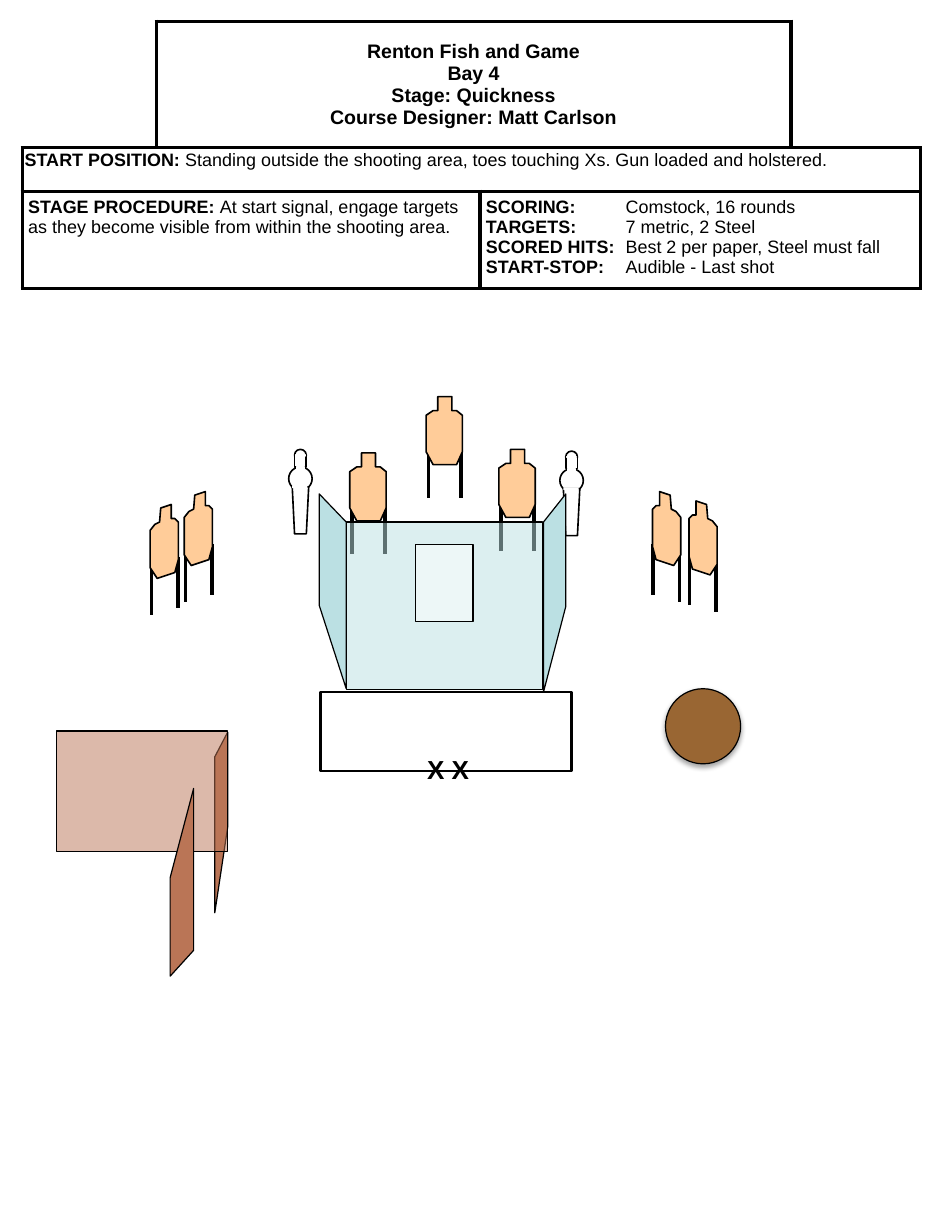
from dataclasses import dataclass
from typing import Any

from lxml import etree
from pptx import Presentation
from pptx.dml.color import RGBColor
from pptx.enum.shapes import MSO_CONNECTOR, MSO_SHAPE
from pptx.enum.text import MSO_ANCHOR, MSO_AUTO_SIZE, PP_ALIGN
from pptx.oxml.ns import qn
from pptx.util import Inches, Pt

BLACK = RGBColor(0x00, 0x00, 0x00)
WHITE = RGBColor(0xFF, 0xFF, 0xFF)
CARDBOARD = RGBColor(0xFF, 0xCC, 0x99)
BRICK = RGBColor(0xBA, 0x75, 0x56)
BARREL = RGBColor(0x99, 0x66, 0x33)
GLASS = RGBColor(0xBB, 0xE0, 0xE3)

RECTANGLE, OVAL = MSO_SHAPE.RECTANGLE, MSO_SHAPE.OVAL
STRAIGHT = MSO_CONNECTOR.STRAIGHT
CENTER = PP_ALIGN.CENTER
TOP, MIDDLE = MSO_ANCHOR.TOP, MSO_ANCHOR.MIDDLE
FIT_SHAPE = MSO_AUTO_SIZE.SHAPE_TO_FIT_TEXT

WIDTH, HEIGHT = Inches(8), Inches(10.5)
COLUMNS, ROWS = 80, 105
TAB_COLUMNS = 11.9
THIN, OUTLINE, MEDIUM, HEAVY = 0.75, 1, 1.5, 2.25

FRONT_OUTLINE = [(1, 0), (2.2, 0), (2.2, 1.2), (2.6, 1.2), (3.1, 1.6), (3.1, 4.7),
                 (2.6, 5.8), (0.6, 5.8), (0, 4.7), (0, 1.6), (0.6, 1.2), (1, 1.2)]
FRONT_LEGS = [(0.2, 4.3), (3, 4.3)]
ANGLED_OUTLINE = [(0.9, 0.3), (1.8, 0), (1.8, 1.2), (2.1, 1.2), (2.4, 1.5), (2.4, 4.7),
                  (2.1, 5.8), (0.6, 6.3), (0, 5.4), (0, 2.2), (0.4, 1.7), (0.8, 1.5)]
ANGLED_LEGS = [(0.1, 5.1), (2.35, 4.5)]
LEG_LENGTH = 4.35
ANGLED_WIDTH = 2.4


def columns(count):
    return round(count * WIDTH / COLUMNS)


def rows(count):
    return round(count * HEIGHT / ROWS)


def shift(points, left, top):
    return [(left + x, top + y) for x, y in points]


def mirror(points):
    return [(ANGLED_WIDTH - x, y) for x, y in points]


@dataclass
class Stage:
    page: Any
    canvas: Any
    font: str = "Arial"
    ink: RGBColor = BLACK

    def group(self):
        self.canvas = self.page.shapes.add_group_shape().shapes

    def ungroup(self):
        self.canvas = self.page.shapes

    def paint(self, shape, fill, line, weight, opacity=100):
        shape.shadow.inherit = False
        if fill is None:
            shape.fill.background()
        else:
            shape.fill.solid()
            shape.fill.fore_color.rgb = fill
            if opacity < 100:
                color = shape._element.spPr.find(qn("a:solidFill")).find(qn("a:srgbClr"))
                etree.SubElement(color, qn("a:alpha"), val=str(opacity * 1000))
        if line is None:
            shape.line.fill.background()
        else:
            shape.line.color.rgb = line
            shape.line.width = Pt(weight)
        return shape

    def shape(self, kind, left, top, width, height, fill=None, line=BLACK, weight=THIN, opacity=100):
        shape = self.canvas.add_shape(kind, columns(left), rows(top), columns(width), rows(height))
        return self.paint(shape, fill, line, weight, opacity)

    def polygon(self, points, fill, weight=THIN, opacity=100):
        corners = [(columns(x), rows(y)) for x, y in points]
        builder = self.canvas.build_freeform(*corners[0])
        builder.add_line_segments(corners[1:], close=True)
        return self.paint(builder.convert_to_shape(), fill, self.ink, weight, opacity)

    def leg(self, x, y):
        line = self.canvas.add_connector(STRAIGHT, columns(x), rows(y), columns(x), rows(y + LEG_LENGTH))
        line.line.color.rgb = self.ink
        line.line.width = Pt(HEAVY)
        etree.SubElement(line._element.spPr, qn("a:effectLst"))

    def target(self, left, top, outline, legs):
        self.group()
        for x, y in shift(legs, left, top):
            self.leg(x, y)
        self.polygon(shift(outline, left, top), CARDBOARD, OUTLINE)
        self.ungroup()

    def steel(self, left, top):
        self.group()
        self.shape(OVAL, left + 0.5, top, 1, 1, WHITE, weight=OUTLINE)
        self.shape(OVAL, left, top + 1.5, 2, 2, WHITE, weight=OUTLINE)
        self.polygon(shift([(0.3, 3.2), (1.7, 3.2), (1.5, 7.2), (0.5, 7.2)], left, top), WHITE, OUTLINE)
        self.shape(RECTANGLE, left + 0.5, top + 0.5, 1, 1, WHITE, weight=OUTLINE)
        self.shape(RECTANGLE, left + 0.3, top + 3.1, 1.3, 0.2, WHITE, line=None)
        self.shape(RECTANGLE, left + 0.65, top + 1.5, 0.7, 0.2, WHITE, WHITE, OUTLINE)
        self.shape(RECTANGLE, left + 0.6, top + 0.45, 0.8, 0.1, WHITE, WHITE, OUTLINE)
        self.ungroup()

    def barrel(self, left, top, size):
        shape = self.shape(OVAL, left, top, size, size, BARREL)
        effects = shape._element.spPr.find(qn("a:effectLst"))
        shadow = etree.SubElement(effects, qn("a:outerShdw"), blurRad=str(Pt(3.1)), dist=str(Pt(1.8)),
                                  dir="5400000", rotWithShape="0")
        color = etree.SubElement(shadow, qn("a:srgbClr"), val=str(self.ink))
        etree.SubElement(color, qn("a:alpha"), val="35000")

    def text(self, frame, paragraphs, size, **layout):
        for index, spans in enumerate(paragraphs):
            para = frame.add_paragraph() if index else frame.paragraphs[0]
            for name, value in layout.items():
                setattr(para, name, value)
            if any("\t" in words for words, _ in spans):
                stops = etree.SubElement(para._p.get_or_add_pPr(), qn("a:tabLst"))
                etree.SubElement(stops, qn("a:tab"), pos=str(columns(TAB_COLUMNS)), algn="l")
            for words, bold in spans:
                span = para.add_run()
                span.text = words
                style = {"name": self.font, "size": Pt(size), "bold": bold}
                for name, value in style.items():
                    setattr(span.font, name, value)
                span.font.color.rgb = self.ink

    def label(self, left, top, width, height, words, size):
        box = self.canvas.add_textbox(columns(left), rows(top), columns(width), rows(height))
        box.text_frame.word_wrap = True
        box.text_frame.auto_size = FIT_SHAPE
        self.text(box.text_frame, [[(words, True)]], size)

    def table(self, left, top, widths, heights):
        frame = self.canvas.add_table(len(heights), len(widths), columns(left), rows(top),
                                      columns(sum(widths)), rows(sum(heights)))
        table = frame.table
        table.first_row = table.horz_banding = False
        for column, width in zip(table.columns, widths):
            column.width = columns(width)
        for row, height in zip(table.rows, heights):
            row.height = rows(height)
        return table

    def cell(self, cell, edges, side, end, anchor=TOP):
        cell.margin_left = cell.margin_right = columns(side)
        cell.margin_top = cell.margin_bottom = rows(end)
        cell.vertical_anchor = anchor
        properties = cell._tc.get_or_add_tcPr()
        for edge in "LRTB":
            border = etree.SubElement(properties, qn("a:ln" + edge), w=str(Pt(HEAVY)))
            if edge in edges:
                fill = etree.SubElement(border, qn("a:solidFill"))
                etree.SubElement(fill, qn("a:srgbClr"), val=str(self.ink))
            else:
                etree.SubElement(border, qn("a:noFill"))
        cell.fill.solid()
        cell.fill.fore_color.rgb = WHITE


def briefing(stage):
    table = stage.table(1.9, 1.8, [11.4, 27.6, 26.5, 11], [10.8, 3.7, 8.3])
    for row, first, last in [(0, 1, 2), (1, 0, 3), (2, 0, 1), (2, 2, 3)]:
        table.cell(row, first).merge(table.cell(row, last))
    corners = {(0, 0): "RB", (0, 3): "LB"}
    for row in range(3):
        side, end = (0.2, 0.4) if row == 1 else (0.5, 0.5)
        for column in range(4):
            stage.cell(table.cell(row, column), corners.get((row, column), "LRTB"),
                       side, end, TOP if row else MIDDLE)
    titles = ["Renton Fish and Game", "Bay 4", "Stage: Quickness", "Course Designer: Matt Carlson"]
    stage.text(table.cell(0, 1).text_frame, [[(title, True)] for title in titles], 12, alignment=CENTER)
    start = [("START POSITION:", True),
             (" Standing outside the shooting area, toes touching Xs. Gun loaded and holstered.", False)]
    stage.text(table.cell(1, 0).text_frame, [start], 11, line_spacing=0.9)
    procedure = [("STAGE PROCEDURE: ", True),
                 ("At start signal, engage targets as they become visible from within the shooting area.", False)]
    stage.text(table.cell(2, 0).text_frame, [procedure], 11)
    rules = {"SCORING:": "Comstock, 16 rounds", "TARGETS:": "7 metric, 2 Steel",
             "SCORED HITS:": "Best 2 per paper, Steel must fall", "START-STOP:": "Audible - Last shot"}
    stage.text(table.cell(2, 2).text_frame,
               [[(name, True), ("\t" + rule, False)] for name, rule in rules.items()], 11)


def main():
    deck = Presentation()
    deck.slide_width, deck.slide_height = WIDTH, HEIGHT
    page = deck.slides.add_slide(deck.slide_layouts[6])
    stage = Stage(page, page.shapes)

    for left, top in [(42.5, 38.3), (29.8, 38.6)]:
        stage.target(left, top, FRONT_OUTLINE, FRONT_LEGS)
    briefing(stage)
    stage.polygon([(19.4, 70.5), (18.3, 77.8), (18.3, 64.5), (19.4, 62.4)], BRICK)
    stage.shape(RECTANGLE, 4.8, 62.3, 14.6, 10.3, BRICK, opacity=50)
    stage.polygon([(14.5, 74.8), (16.5, 67.2), (16.5, 81), (14.5, 83.2)], BRICK)
    stage.barrel(56.7, 58.7, 6.4)
    stage.polygon([(27.2, 51.6), (29.5, 58.7), (29.5, 44.5), (27.2, 42.1)], GLASS)
    stage.shape(RECTANGLE, 27.3, 59, 21.4, 6.7, weight=MEDIUM)
    stage.group()
    stage.shape(RECTANGLE, 29.5, 44.5, 16.7, 14.3, GLASS, opacity=50)
    stage.shape(RECTANGLE, 35.4, 46.4, 4.9, 6.6, WHITE, opacity=50)
    stage.ungroup()
    for left, top in [(12.8, 43), (15.7, 41.9)]:
        stage.target(left, top, ANGLED_OUTLINE, ANGLED_LEGS)
    stage.steel(24.6, 38.3)
    for left, top in [(58.7, 42.7), (55.6, 41.9)]:
        stage.target(left, top, mirror(ANGLED_OUTLINE), mirror(ANGLED_LEGS))
    stage.steel(47.7, 38.45)
    stage.polygon([(48.2, 51.7), (46.3, 59), (46.3, 44.5), (48.2, 42.1)], GLASS)
    stage.target(36.3, 33.8, FRONT_OUTLINE, FRONT_LEGS)
    stage.label(35.4, 63.7, 5.8, 3.7, "X X", 16)
    deck.save("out.pptx")


if __name__ == "__main__":
    main()
